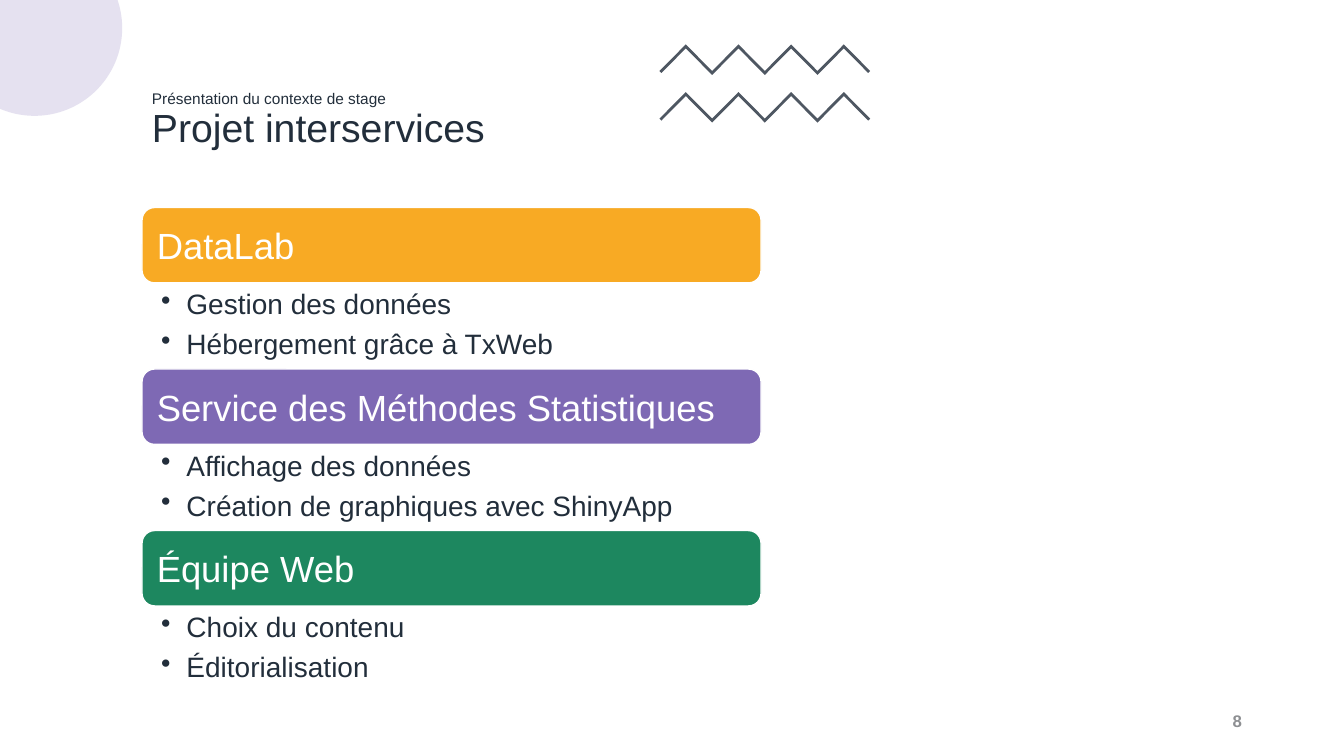
"""Build the slide on the interservice project."""
import math
from dataclasses import dataclass

from lxml import etree
from pptx import Presentation
from pptx import util as u
from pptx.dml.color import RGBColor
from pptx.enum import shapes, text
from pptx.oxml.ns import qn


@dataclass(frozen=True)
class Theme:
    """Colours, font and type sizes of the slide."""
    font: str = "Arial"
    ink: str = "222E3B"
    grey: str = "8D8F92"
    slate: str = "4E5762"
    white: str = "FFFFFF"
    orange: str = "F8AA24"
    purple: str = "7E69B4"
    green: str = "1D875F"
    kicker: int = 11
    title: int = 28
    heading: int = 26
    body: int = 20
    number: int = 12


class Deck:
    """Holds the theme and the current slide."""

    def __init__(self, prs, theme):
        """Add a blank slide to draw on."""
        self.theme = theme
        self.s = prs.slides.add_slide(prs.slide_layouts[6])

    def apply(self, obj, fmt):
        """Set each format value on an object."""
        for name, value in fmt.items():
            setattr(obj, name, value)

    def frame(self, tf, insets, anchor):
        """Set up a text frame and return its first paragraph."""
        left, top, right, bottom = (u.Cm(v) for v in insets)
        self.apply(tf, {"word_wrap": True, "vertical_anchor": anchor,
                        "margin_left": left, "margin_top": top,
                        "margin_right": right, "margin_bottom": bottom})
        return tf.paragraphs[0]

    def run(self, p, words, size, color, **fmt):
        """Add a styled run to a paragraph."""
        r = p.add_run()
        r.text = words
        self.apply(r.font, {"name": self.theme.font, "size": u.Pt(size), **fmt})
        r.font.color.rgb = RGBColor.from_string(color)
        return r

    def textbox(self, box, insets=(0.25, 0.13, 0.25, 0.13), anchor=text.MSO_ANCHOR.TOP):
        """Add a text box and return its text frame."""
        tf = self.s.shapes.add_textbox(*(u.Cm(v) for v in box)).text_frame
        self.frame(tf, insets, anchor)
        return tf

    def outline(self, points, color, alpha=None):
        """Add a closed, filled outline through points in centimetres."""
        points = [(u.Cm(x), u.Cm(y)) for x, y in points]
        fb = self.s.shapes.build_freeform(*points[0], scale=1.0)
        fb.add_line_segments(points[1:], close=True)
        sp = fb.convert_to_shape()
        sp.shadow.inherit = False
        sp.line.fill.background()
        sp.fill.solid()
        sp.fill.fore_color.rgb = RGBColor.from_string(color)
        if alpha is not None:
            clr = sp.fill._xPr.find(".//" + qn("a:srgbClr"))
            etree.SubElement(clr, qn("a:alpha")).set("val", str(alpha * 1000))

    def zigzag(self, left, top, width=5.31, rise=0.67, weight=0.1, peaks=4):
        """Add a zigzag band with bevelled ends."""
        n = 2 * peaks
        upper = [(left + i * width / n, top + rise * (1 - i % 2)) for i in range(n + 1)]
        lower = [(x, y + weight) for x, y in upper[-2:0:-1]]
        bevel = weight / 2
        y = top + rise + bevel
        ends = [(left + width - bevel, y)], [(left + bevel, y)]
        self.outline(upper + ends[0] + lower + ends[1], self.theme.slate)

    def corner_disc(self, cx, cy, radius):
        """Add a pale disc cut off by the top left corner of the slide."""
        start, end = math.asin(-cy / radius), math.acos(-cx / radius)
        steps = 60
        angles = [start + (end - start) * i / steps for i in range(steps + 1)]
        arc = [(cx + radius * math.cos(a), cy + radius * math.sin(a)) for a in angles]
        self.outline([(0, 0)] + arc, self.theme.purple, alpha=20)

    def title(self, kicker, words):
        """Add the kicker and the title below it."""
        p = self.textbox((3.58, 2.18, 11.53, 2.77)).paragraphs[0]
        p.line_spacing = 0.9
        self.run(p, kicker, self.theme.kicker, self.theme.ink)
        p.add_line_break()
        self.run(p, words, self.theme.title, self.theme.ink)

    def number(self, words):
        """Add the slide number."""
        tf = self.textbox((23.93, 17.65, 7.62, 1.02), anchor=text.MSO_ANCHOR.MIDDLE)
        p = tf.paragraphs[0]
        p.alignment = text.PP_ALIGN.RIGHT
        r = self.run(p, words, self.theme.number, self.theme.grey, bold=True)
        r._r.get_or_add_rPr().set("spc", "100")

    def heading(self, box, words, color):
        """Add a rounded bar with its heading."""
        sp = self.s.shapes.add_shape(shapes.MSO_SHAPE.ROUNDED_RECTANGLE,
                                     *(u.Cm(v) for v in box))
        sp.shadow.inherit = False
        sp.fill.solid()
        sp.fill.fore_color.rgb = RGBColor.from_string(color)
        sp.line.color.rgb = RGBColor.from_string(self.theme.white)
        sp.line.width = u.Pt(1)
        p = self.frame(sp.text_frame, (0.28, 0.28, 0.28, 0.28), text.MSO_ANCHOR.MIDDLE)
        p.alignment = text.PP_ALIGN.LEFT
        self.run(p, words, self.theme.heading, self.theme.white)

    def bullets(self, box, items):
        """Add a bulleted list."""
        tf = self.textbox(box, (0.48, 0.1, 0.51, 0.1))
        for i, item in enumerate(items):
            p = tf.add_paragraph() if i else tf.paragraphs[0]
            p.space_after = u.Pt(4.6)
            pPr = p._p.get_or_add_pPr()
            indent = u.Cm(0.64)
            pPr.set("marL", str(indent))
            pPr.set("indent", str(-indent))
            etree.SubElement(pPr, qn("a:buChar")).set("char", "•")
            self.run(p, item, self.theme.body, self.theme.ink)


def main():
    """Build and save the presentation."""
    prs = Presentation()
    prs.slide_width, prs.slide_height = u.Cm(33.87), u.Cm(19.05)
    theme = Theme()
    deck = Deck(prs, theme)
    for top in (1.12, 2.32):
        deck.zigzag(16.62, top)
    deck.corner_disc(0.87, 0.71, 2.21)
    deck.title("Présentation du contexte de stage", "Projet interservices")
    deck.number("8")
    teams = [
        ("DataLab", theme.orange,
         ["Gestion des données", "Hébergement grâce à TxWeb"]),
        ("Service des Méthodes Statistiques", theme.purple,
         ["Affichage des données", "Création de graphiques avec ShinyApp"]),
        ("Équipe Web", theme.green, ["Choix du contenu", "Éditorialisation"]),
    ]
    left, top, width, bar, body = 3.58, 5.23, 15.6, 1.9, 2.17
    for i, (name, color, tasks) in enumerate(teams):
        y = top + i * (bar + body)
        deck.heading((left, y, width, bar), name, color)
        deck.bullets((left, y + bar, width, body), tasks)
    prs.save("out.pptx")


if __name__ == "__main__":
    main()
